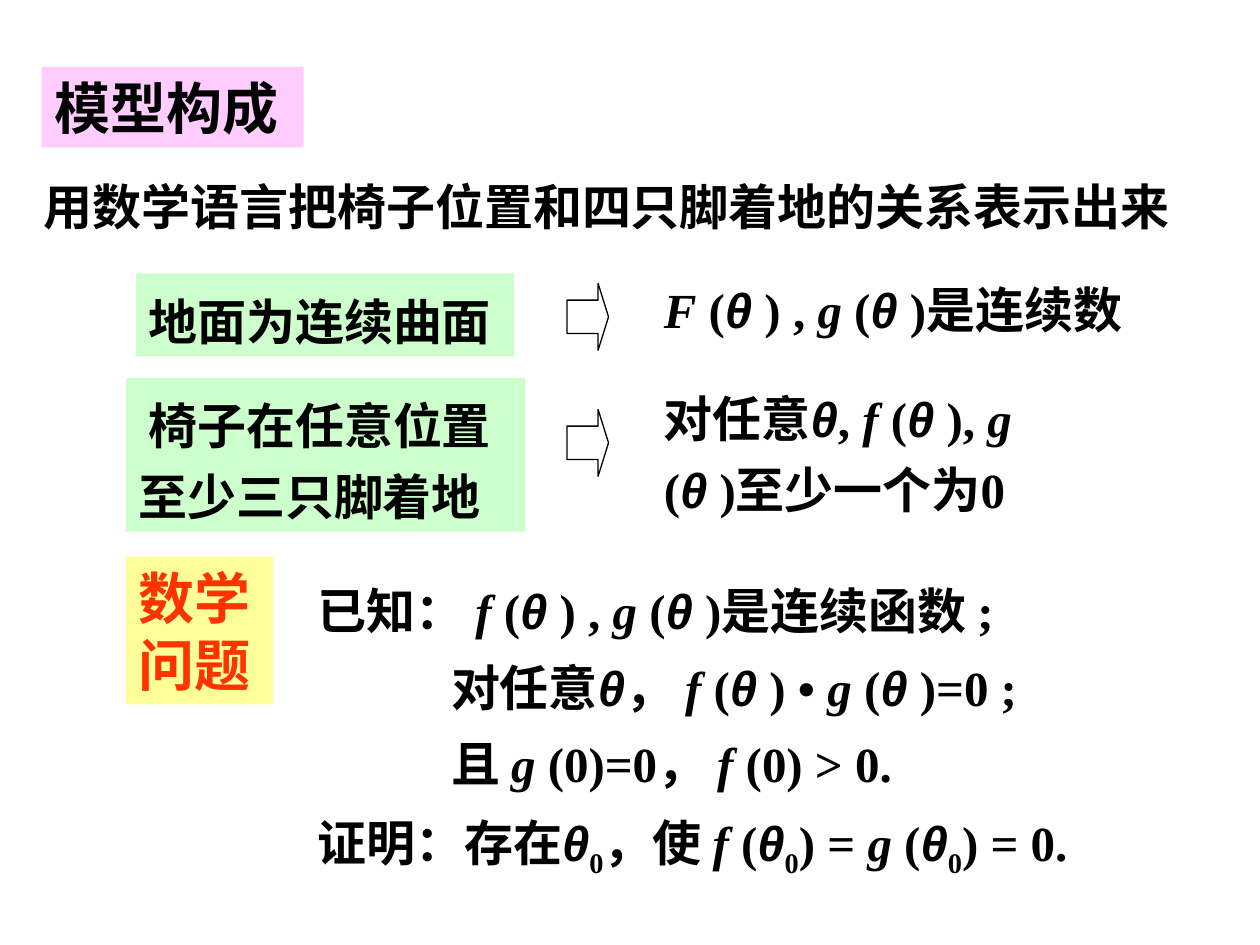
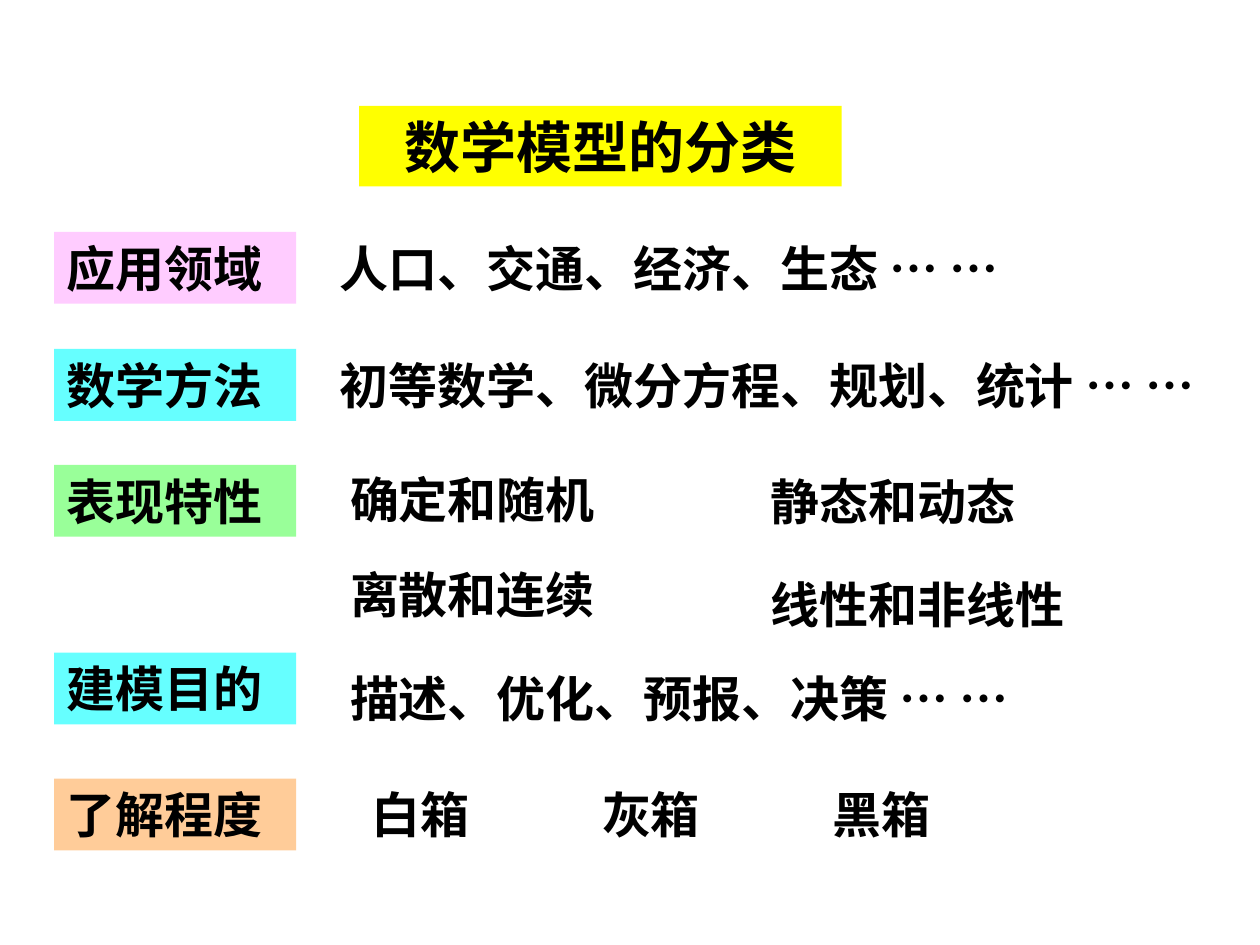
from dataclasses import dataclass
from itertools import groupby

from lxml import etree
from pptx import Presentation
from pptx.dml.color import RGBColor
from pptx.enum import shapes, text
from pptx.oxml import ns
from pptx.util import Inches, Pt


# Theme
@dataclass(frozen=True)
class Theme:
    latin: str = "Times New Roman"
    asian: str = "Noto Sans CJK SC"
    greek: str = "Arial"
    heading: int = 32
    body: int = 28
    ink: str = "000000"
    red: str = "FF3300"
    pink: str = "FFCCFF"
    mint: str = "CCFFCC"
    cream: str = "FFFF99"
    yellow: str = "FFFF00"
    cyan: str = "66FFFF"
    green: str = "99FF99"
    orange: str = "FFCC99"


THEME = Theme()
LINE_HEIGHT = 0.57

# Slide 1 content: boxes are (left, top, width, height) in inches
MODEL_TITLE = "模型构成", (0.33, 0.53, 2.08, 0.64)
INTRO = "用数学语言把椅子位置和四只脚着地的关系表示出来", (0.25, 1.35, 9.33, LINE_HEIGHT)
ASSUMPTIONS = [  # text, box, line spacing, first-line indent
    ("地面为连续曲面", (1.08, 2.17, 3, 0.66), 1.2, 0),
    ("椅子在任意位置至少三只脚着地", (1, 3, 3.17, 1.22), 1.2, 0.08),
]
CONCLUSIONS = [  # text, box, line spacing
    ("F (θ ) , g (θ )是连续数", (5.17, 2.17, 4.09, LINE_HEIGHT), 1),
    ("对任意θ, f (θ ), g (θ )至少一个为0", (5.17, 2.94, 3.5, 1.22), 1.2),
]
ARROW_TOPS = [2.25, 3.25]
PROBLEM_LABEL = "数学问题", (1, 4.42, 1.17, 1.17)
PROBLEM_BOX = (2.42, 4.42, 6.17, 3.22)
PROBLEM = [  # text, left margin
    ("已知： f (θ ) , g (θ )是连续函数 ;", 0),
    ("对任意θ， f (θ ) • g (θ )=0 ;", 1.06),
    ("且 g (0)=0， f (0) > 0.", 1.06),
    ("证明：存在θ₀，使 f (θ₀) = g (θ₀) = 0.", 0),
]

# Slide 2 content
CLASSES_TITLE = "数学模型的分类", (2.85, 0.84, 3.83, 0.64)
CATEGORIES = [  # label, fill, top, [(text, left, top, width)]
    ("应用领域", THEME.pink, 1.84, [("人口、交通、经济、生态 … …", 2.6, 1.84, 6)]),
    ("数学方法", THEME.cyan, 2.77, [("初等数学、微分方程、规划、统计 … …", 2.6, 2.77, 7.33)]),
    ("表现特性", THEME.green, 3.69, [
        ("确定和随机", 2.68, 3.68, 2.17),
        ("静态和动态", 6.02, 3.69, 2.17),
        ("离散和连续", 2.68, 4.43, 2.17),
        ("线性和非线性", 6.02, 4.51, 2.67),
    ]),
    ("建模目的", THEME.cyan, 5.18, [("描述、优化、预报、决策 … …", 2.68, 5.26, 6.75)]),
    ("了解程度", THEME.orange, 6.18, [
        (name, 2.85 + 1.83 * column, 6.18, 1.08)
        for column, name in enumerate(["白箱", "灰箱", "黑箱"])
    ]),
]


# Text helpers
def symbol_kind(character):
    """Sort a character into the styles used in formulas."""
    if character == "θ":
        return "greek"
    if character == "₀":
        return "subscript"
    return "variable" if character in "Ffg" else "plain"


def add_runs(paragraph, content):
    for kind, characters in groupby(content, symbol_kind):
        run = paragraph.add_run()
        run.text = "".join(characters).replace("₀", "0")
        if kind in ("greek", "variable"):
            run.font.italic = True
        if kind == "greek":
            run.font.name = THEME.greek
        if kind == "subscript":
            run._r.get_or_add_rPr().set("baseline", "-25000")


def write_paragraph(paragraph, content, size=THEME.body, color=THEME.ink, spacing=1,
                    margin=0, indent=0, align=text.PP_ALIGN.LEFT):
    add_runs(paragraph, content)
    paragraph.alignment = align
    paragraph.line_spacing = spacing
    paragraph.space_before = Pt(0)
    properties = paragraph._p.get_or_add_pPr()
    properties.set("marL", str(Inches(margin)))
    properties.set("indent", str(Inches(indent)))
    etree.SubElement(properties, ns.qn("a:buNone"))
    font = paragraph.font
    font.size, font.bold, font.name = Pt(size), True, THEME.latin
    font.color.rgb = RGBColor.from_string(color)
    defaults = properties.find(ns.qn("a:defRPr"))
    etree.SubElement(defaults, ns.qn("a:ea"), typeface=THEME.asian)


def prepare_frame(shape):
    """Wrap and top-align; the fixed size keeps placeholders at their own height."""
    frame = shape.text_frame
    frame.word_wrap = True
    frame.auto_size = text.MSO_AUTO_SIZE.NONE
    frame.vertical_anchor = text.MSO_ANCHOR.TOP
    return frame


# Shape helpers
def place(shape, box):
    shape.left, shape.top, shape.width, shape.height = map(Inches, box)


def paint(shape, color):
    shape.fill.solid()
    shape.fill.fore_color.rgb = RGBColor.from_string(color)


def add_title(slide, content, box, color, **style):
    title = slide.shapes.title
    place(title, box)
    paint(title, color)
    write_paragraph(prepare_frame(title).paragraphs[0], content, THEME.heading, **style)


def add_text(slide, content, box, **style):
    shape = slide.shapes.add_textbox(*map(Inches, box))
    write_paragraph(prepare_frame(shape).paragraphs[0], content, **style)


def add_label(slide, content, box, fill, **style):
    shape = slide.shapes.add_shape(shapes.MSO_SHAPE.RECTANGLE, *map(Inches, box))
    shape.shadow.inherit = False
    shape.line.fill.background()
    paint(shape, fill)
    write_paragraph(prepare_frame(shape).paragraphs[0], content, **style)


def add_arrow(slide, top):
    arrow = slide.shapes.add_shape(
        shapes.MSO_SHAPE.RIGHT_ARROW, *map(Inches, (4.5, top, 0.33, 0.53)))
    arrow.shadow.inherit = False
    arrow.adjustments[0], arrow.adjustments[1] = 0.5, 0.25
    arrow.fill.background()
    arrow.line.color.rgb = RGBColor.from_string(THEME.ink)
    arrow.line.width = Pt(0.75)


# Slides
def build_model_slide(presentation):
    slide = presentation.slides.add_slide(presentation.slide_layouts[1])
    add_title(slide, *MODEL_TITLE, THEME.pink)
    add_text(slide, *INTRO)
    for content, box, spacing, indent in ASSUMPTIONS:
        add_label(slide, content, box, THEME.mint, spacing=spacing, indent=indent)
    for content, box, spacing in CONCLUSIONS:
        add_text(slide, content, box, spacing=spacing)
    for top in ARROW_TOPS:
        add_arrow(slide, top)
    add_label(slide, *PROBLEM_LABEL, THEME.cream, size=THEME.heading, color=THEME.red)

    body = slide.placeholders[1]
    place(body, PROBLEM_BOX)
    frame = prepare_frame(body)
    for number, (content, margin) in enumerate(PROBLEM):
        paragraph = frame.add_paragraph() if number else frame.paragraphs[0]
        write_paragraph(paragraph, content, spacing=1.3, margin=margin)


def build_classes_slide(presentation):
    slide = presentation.slides.add_slide(presentation.slide_layouts[5])
    add_title(slide, *CLASSES_TITLE, THEME.yellow, align=text.PP_ALIGN.CENTER)
    for label, fill, label_top, examples in CATEGORIES:
        add_label(slide, label, (0.43, label_top, 1.92, LINE_HEIGHT), fill)
        for content, left, top, width in examples:
            add_text(slide, content, (left, top, width, LINE_HEIGHT))


def main():
    presentation = Presentation()
    presentation.slide_width, presentation.slide_height = Inches(10), Inches(7.5)
    build_model_slide(presentation)
    build_classes_slide(presentation)
    presentation.save("out.pptx")


if __name__ == "__main__":
    main()
